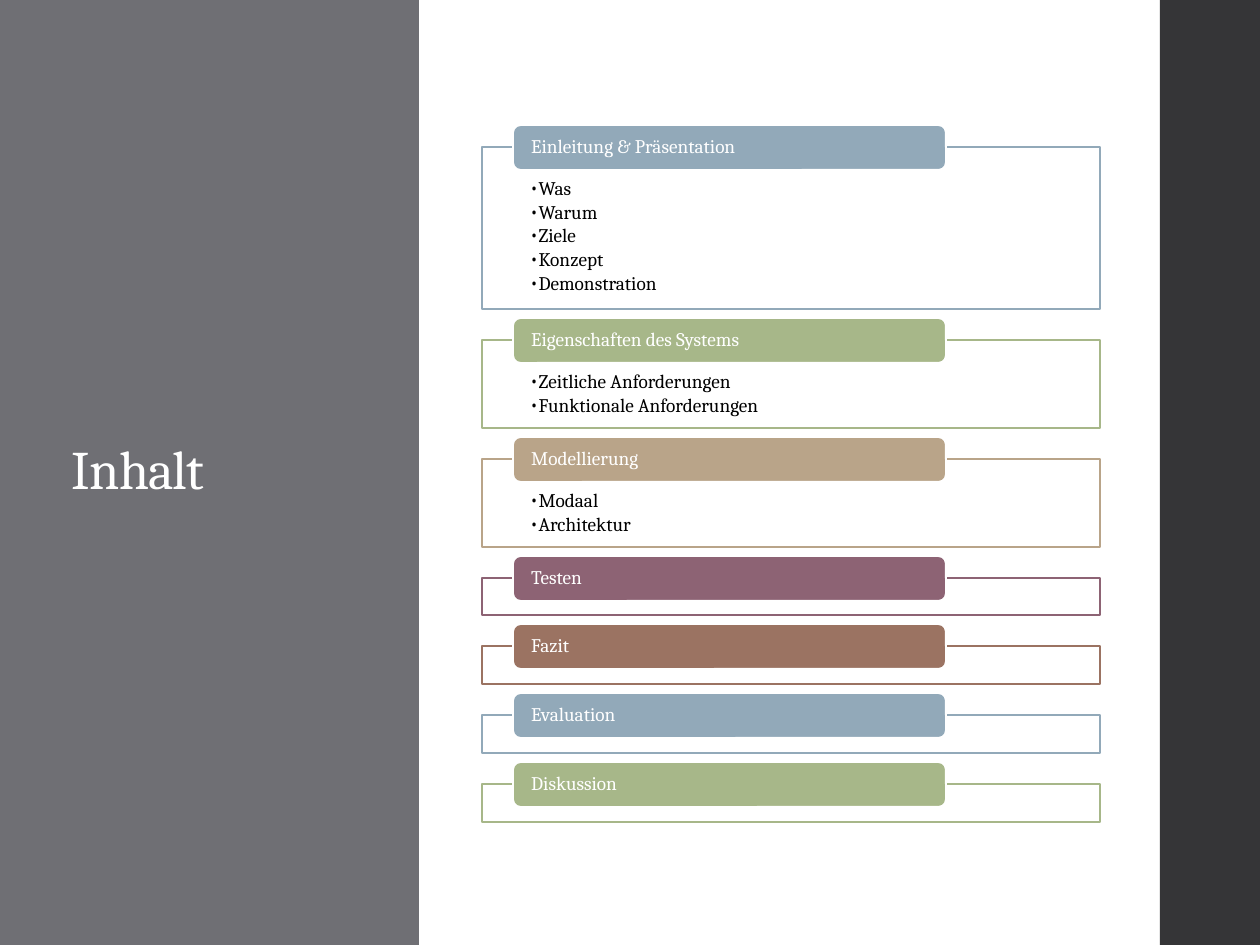
from dataclasses import dataclass

import pptx
import pptx.dml.color
import pptx.enum.shapes
import pptx.enum.text
import pptx.shapes.autoshape
import pptx.slide
import pptx.util
from lxml import etree

PX_PER_INCH = 126
FONT = "Cambria"
COLOURS = {
    "white": "FFFFFF",
    "black": "000000",
    "panel": "6F6F74",
    "edge": "353537",
    "blue": "92A9B9",
    "green": "A7B789",
    "sand": "B9A489",
    "plum": "8D6374",
    "brown": "9B7362",
}
SHAPES = pptx.enum.shapes.MSO_SHAPE
ANCHORS = pptx.enum.text.MSO_ANCHOR

# Agenda layout in px
FRAME_LEFT, FRAME_WIDTH, FIRST_TOP = 482, 618, 147
FRAME_GAP = 31
TAB_LEFT, TAB_WIDTH, TAB_HEIGHT, TAB_RISE = 513, 433, 45, 22
BULLET_INDENT = 8


@dataclass(frozen=True)
class Section:
    heading: str
    colour: str
    height: int = 38
    points: tuple[str, ...] = ()


SECTIONS = (
    Section("Einleitung & Präsentation", "blue", 162,
            ("Was", "Warum", "Ziele", "Konzept", "Demonstration")),
    Section("Eigenschaften des Systems", "green", 88,
            ("Zeitliche Anforderungen", "Funktionale Anforderungen")),
    Section("Modellierung", "sand", 88, ("Modaal", "Architektur")),
    Section("Testen", "plum", 37),
    Section("Fazit", "brown"),
    Section("Evaluation", "blue"),
    Section("Diskussion", "green"),
)


def px(length: int) -> pptx.util.Emu:
    return pptx.util.Emu(round(length * 914400 / PX_PER_INCH))


def rgb(colour: str) -> pptx.dml.color.RGBColor:
    return pptx.dml.color.RGBColor.from_string(COLOURS[colour])


def add_box(slide: pptx.slide.Slide, box: tuple[int, int, int, int], fill: str,
            line: str | None = None,
            kind: SHAPES = SHAPES.RECTANGLE) -> pptx.shapes.autoshape.Shape:
    shape = slide.shapes.add_shape(kind, *map(px, box))
    shape.shadow.inherit = False
    shape.fill.solid()
    shape.fill.fore_color.rgb = rgb(fill)
    if line:
        shape.line.color.rgb = rgb(line)
        shape.line.width = pptx.util.Pt(1.1)
    else:
        shape.line.fill.background()
    return shape


def add_bullet(paragraph) -> None:
    properties = paragraph._p.get_or_add_pPr()
    properties.set("marL", str(px(BULLET_INDENT)))
    properties.set("indent", str(-px(BULLET_INDENT)))
    namespace = properties.nsmap["a"]
    etree.SubElement(properties, f"{{{namespace}}}buFont", typeface=FONT)
    etree.SubElement(properties, f"{{{namespace}}}buChar", char="•")


def write_text(shape: pptx.shapes.autoshape.Shape, *lines: str, size: int = 11,
               colour: str = "white", anchor: ANCHORS = ANCHORS.MIDDLE,
               insets: tuple[int, int, int, int] = (16, 0, 16, 0),
               bullets: bool = False, space_after: float = 0,
               tracking: int = 0) -> None:
    frame = shape.text_frame
    frame.word_wrap = True
    frame.vertical_anchor = anchor
    (frame.margin_left, frame.margin_top,
     frame.margin_right, frame.margin_bottom) = map(px, insets)
    for index, line in enumerate(lines):
        paragraph = frame.add_paragraph() if index else frame.paragraphs[0]
        paragraph.alignment = pptx.enum.text.PP_ALIGN.LEFT
        paragraph.line_spacing = 0.9
        paragraph.space_after = pptx.util.Pt(space_after)
        if bullets:
            paragraph.level = 1
            add_bullet(paragraph)
        run = paragraph.add_run()
        run.text = line
        run.font.name = FONT
        run.font.size = pptx.util.Pt(size)
        run.font.color.rgb = rgb(colour)
        if tracking:
            run._r.get_or_add_rPr().set("spc", str(tracking))


def add_section(slide: pptx.slide.Slide, section: Section, top: int) -> None:
    frame = add_box(slide, (FRAME_LEFT, top, FRAME_WIDTH, section.height),
                    "white", section.colour)
    if section.points:
        write_text(frame, *section.points, colour="black", anchor=ANCHORS.TOP,
                   insets=(48, 32, 48, 11), bullets=True, space_after=1.65)
    tab = add_box(slide, (TAB_LEFT, top - TAB_RISE, TAB_WIDTH, TAB_HEIGHT),
                  section.colour, "white", SHAPES.ROUNDED_RECTANGLE)
    write_text(tab, section.heading)


def main() -> None:
    presentation = pptx.Presentation()
    presentation.slide_width, presentation.slide_height = px(1260), px(945)
    slide = presentation.slides.add_slide(presentation.slide_layouts[6])

    # Side panels
    add_box(slide, (1160, 0, 100, 945), "edge")
    add_box(slide, (0, 0, 419, 945), "panel")

    # Title
    title = slide.shapes.add_textbox(*map(px, (59, 115, 281, 714)))
    write_text(title, "Inhalt", size=31, insets=(13, 6, 13, 6), tracking=-50)

    # Agenda sections, stacked with equal gaps
    top = FIRST_TOP
    for section in SECTIONS:
        add_section(slide, section, top)
        top += section.height + FRAME_GAP

    presentation.save("out.pptx")


if __name__ == "__main__":
    main()
